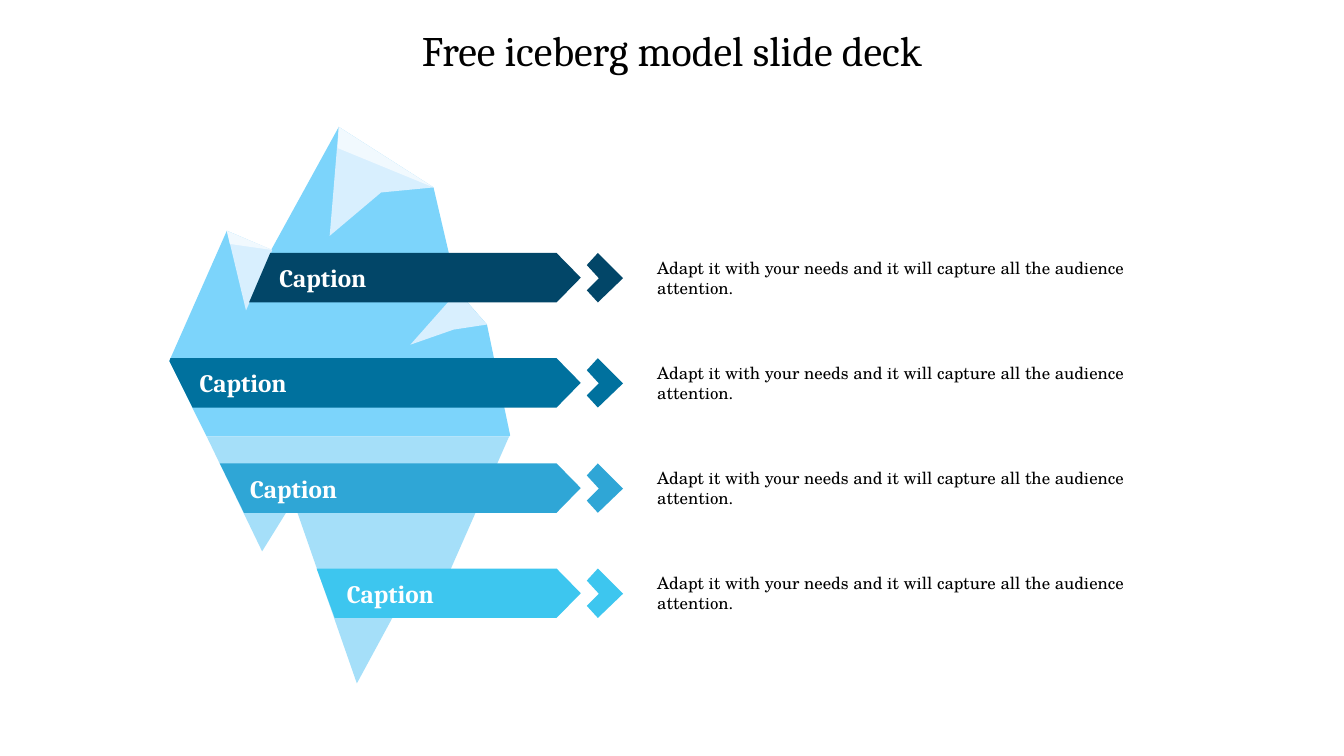
from pptx import Presentation
from pptx.dml.color import RGBColor
from pptx.enum.text import MSO_ANCHOR, MSO_AUTO_SIZE, PP_ALIGN
from pptx.util import Inches, Pt

LEFT, CENTER = PP_ALIGN.LEFT, PP_ALIGN.CENTER
TOP, MIDDLE = MSO_ANCHOR.TOP, MSO_ANCHOR.MIDDLE
NO_AUTOFIT = MSO_AUTO_SIZE.NONE
TITLE_ONLY = 5

HEADING_FONT, BODY_FONT = "Cambria", "TeX Gyre Schola"
DESCRIPTION = "Adapt it with your needs and it will capture all the audience attention."

# Iceberg facets from back to front: colour and corners within the iceberg's box
ICEBERG = [
    ("7CD4FB", [(1.68, 0), (1.01, 1.22), (0.57, 1.03), (0, 2.32), (0.23, 2.79),
                (0.37, 3.07), (3.37, 3.07), (3.38, 3.06), (3.15, 1.96),
                (2.86, 1.63), (2.62, 0.6)]),
    ("D8EFFE", [(1.68, 0), (1.59, 1.08), (2.1, 0.65), (2.62, 0.6)]),
    ("D8EFFE", [(2.86, 1.63), (2.39, 2.16), (2.82, 2.01), (3.15, 1.96)]),
    ("D8EFFE", [(0.57, 1.03), (0.76, 1.82), (1.02, 1.22)]),
    ("A5DFF9", [(0.37, 3.07), (0.92, 4.21), (1.23, 3.71), (1.86, 5.52),
                (2.32, 4.67), (2.42, 4.5), (2.78, 4.41), (3.37, 3.07)]),
    ("F1F9FE", [(1.68, 0), (1.67, 0.21), (2.62, 0.6)]),
    ("F1F9FE", [(0.57, 1.03), (0.6, 1.16), (1.02, 1.22)]),
]

# Each level: caption, colour, slanted left edge of its banner as (x, y in row)
LEVELS = [
    ("Caption", "024668", [(2.68, 0), (2.47, 0.49)]),
    ("Caption", "00719E", [(1.69, 0), (1.68, 0.03), (1.91, 0.49)]),
    ("Caption", "2FA6D6", [(2.18, 0), (2.42, 0.49)]),
    ("Caption", "3DC6EF", [(3.14, 0), (3.32, 0.49)]),
]
FIRST_TOP, LAST_TOP, ROW_HEIGHT = 2.51, 5.64, 0.49
BANNER_SHOULDER, BANNER_TIP = 5.52, 5.76
CHEVRON_LEFT = 5.82
CHEVRON = [(0.11, 0), (0, 0.12), (0.12, 0.25), (0, 0.37),
           (0.11, 0.49), (0.36, 0.25)]
DESCRIPTION_LEFT, DESCRIPTION_WIDTH, DESCRIPTION_HEIGHT = 6.42, 5.23, 0.58


def color(hex_value):
    return RGBColor.from_string(hex_value)


def write(shape, text, *, font, size, fill, bold=False, align=LEFT,
          anchor=MIDDLE, insets=(0.1, 0.1, 0.1, 0.1)):
    frame = shape.text_frame
    frame.word_wrap = True
    frame.auto_size = NO_AUTOFIT
    frame.vertical_anchor = anchor
    (frame.margin_left, frame.margin_top,
     frame.margin_right, frame.margin_bottom) = map(Inches, insets)
    paragraph = frame.paragraphs[0]
    paragraph.alignment = align
    run = paragraph.add_run()
    run.text = text
    run.font.name = font
    run.font.size = Pt(size)
    run.font.bold = bold
    run.font.color.rgb = color(fill)


def add_polygon(slide, left, top, corners, fill):
    """Draw a closed outline whose corners are measured from (left, top)."""
    points = [(Inches(left + x), Inches(top + y)) for x, y in corners]
    builder = slide.shapes.build_freeform(*points[0])
    builder.add_line_segments(points[1:], close=True)
    polygon = builder.convert_to_shape()
    polygon.fill.solid()
    polygon.fill.fore_color.rgb = color(fill)
    polygon.line.fill.background()
    polygon.shadow.inherit = False
    return polygon


def add_title(slide, left, top, width, height):
    title = slide.shapes.title
    title.left, title.top = Inches(left), Inches(top)
    title.width, title.height = Inches(width), Inches(height)
    write(title, "Free iceberg model slide deck", font=HEADING_FONT, size=30,
          fill="000000", align=CENTER, anchor=TOP, insets=(0.1, 0.05, 0.1, 0.05))


def add_iceberg(slide, left, top):
    for fill, corners in ICEBERG:
        add_polygon(slide, left, top, corners, fill)


def add_level(slide, top, caption, fill, left_edge):
    """Add one row: chevron, captioned banner and description."""
    add_polygon(slide, CHEVRON_LEFT, top, CHEVRON, fill)

    arrow_end = [(BANNER_SHOULDER, ROW_HEIGHT), (BANNER_TIP, ROW_HEIGHT / 2),
                 (BANNER_SHOULDER, 0)]
    banner = add_polygon(slide, 0, top, left_edge + arrow_end, fill)
    write(banner, caption, font=HEADING_FONT, size=18, fill="FFFFFF",
          bold=True, insets=(0.3, 0.1, 0.1, 0.1))

    description_top = top + (ROW_HEIGHT - DESCRIPTION_HEIGHT) / 2
    description = slide.shapes.add_textbox(
        Inches(DESCRIPTION_LEFT), Inches(description_top),
        Inches(DESCRIPTION_WIDTH), Inches(DESCRIPTION_HEIGHT))
    write(description, DESCRIPTION, font=BODY_FONT, size=12, fill="000000")


def main():
    deck = Presentation()
    deck.slide_width, deck.slide_height = Inches(13.33), Inches(7.5)
    slide = deck.slides.add_slide(deck.slide_layouts[TITLE_ONLY])

    add_title(slide, 0, 0.19, 13.33, 0.61)
    add_iceberg(slide, 1.68, 1.26)
    pitch = (LAST_TOP - FIRST_TOP) / (len(LEVELS) - 1)
    for row, level in enumerate(LEVELS):
        add_level(slide, FIRST_TOP + row * pitch, *level)

    deck.save("out.pptx")


if __name__ == "__main__":
    main()
